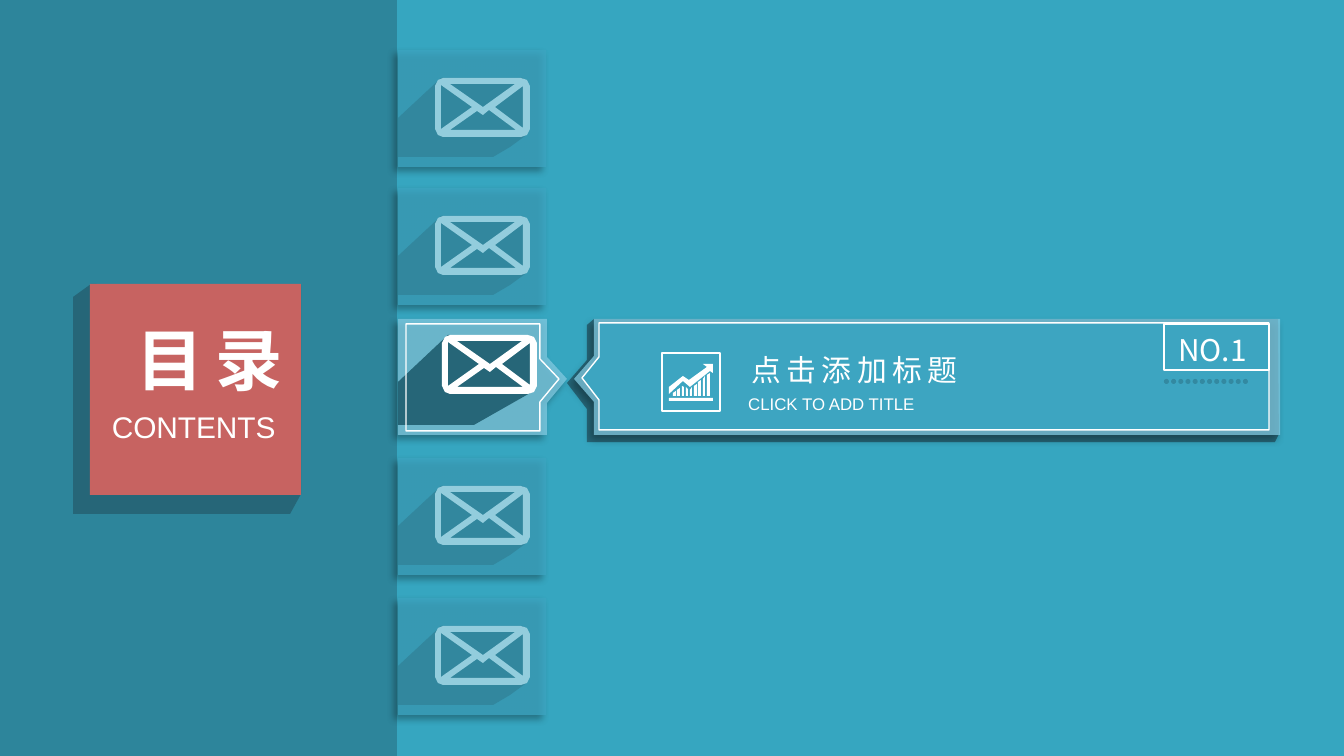
from lxml import etree
from pptx import Presentation
from pptx.dml.color import RGBColor
from pptx.enum.shapes import MSO_SHAPE
from pptx.enum.text import MSO_ANCHOR, MSO_AUTO_SIZE, PP_ALIGN
from pptx.oxml.ns import qn
from pptx.util import Emu, Pt

RECT, OVAL = MSO_SHAPE.RECTANGLE, MSO_SHAPE.OVAL
LEFT, CENTER, RIGHT = PP_ALIGN.LEFT, PP_ALIGN.CENTER, PP_ALIGN.RIGHT
TOP, NO_FIT = MSO_ANCHOR.TOP, MSO_AUTO_SIZE.NONE

PX = 914400 / 134.4
WIDTH, HEIGHT = 1344, 756
TEAL, DARK, WHITE = "36A6C0", "266678", "FFFFFF"
CARD, PALE, SHADE, ICON, RED = "3DA5C1", "80C9E0", "32879E", "93CDDD", "C76361"
HAN, LATIN = "Noto Sans CJK SC", "Arial"

# Content: text, place, size, font, alignment, letter spacing, wrap
HEADING = ("目录", (89, 312, 207, 95), 36, HAN, RIGHT, 6, True)
SUBHEADING = ("CONTENTS", (27, 402, 262, 49), 16, LATIN, RIGHT, 0, True)
BANNER_TEXTS = [
    ("点击添加标题", (731, 345, 247, 50), 16, HAN, CENTER, 3, True),
    ("CLICK TO ADD TITLE", (735, 387, 198, 34), 9, LATIN, LEFT, 0, False),
    ("NO.1", (1165, 325, 114, 50), 16, HAN, LEFT, 0, True),
]

# Inactive cards; the outlines below are relative to the corner of a card or icon
CARD_LEFT, CARD_TOPS, CARD_SIZE = 398, [50, 188, 458, 598], (148, 117)
CARD_SHADE = [(43, 28), (125, 28), (128, 37), (127, 86), (112, 97), (95, 107),
              (0, 107), (0, 68)]
ENVELOPE = [
    [(8, 0), (86, 0), (92, 2), (95, 8), (95, 51), (92, 57), (86, 59),
     (8, 59), (3, 57), (0, 51), (0, 8), (3, 2)],
    [(6, 7), (37, 29), (6, 51)],
    [(48, 37), (54, 32), (81, 52), (15, 52), (42, 33)],
    [(48, 29), (15, 6), (80, 6)],
    [(60, 29), (88, 8), (88, 50)],
]

# Active card and banner
ACTIVE_CARD = [(398, 319), (547, 319), (547, 357), (567, 379), (547, 403),
               (547, 435), (398, 435)]
ACTIVE_SHADE = [(448, 335), (529, 336), (534, 344), (532, 392), (474, 425),
                (398, 425), (398, 382)]
ACTIVE_FRAME = [(406, 324), (540, 324), (540, 359), (559, 379), (540, 402),
                (540, 431), (406, 431)]
BANNER_SHADE = [(587, 325), (594, 319), (1278, 319), (1279, 434), (1275, 442),
                (587, 442), (587, 409), (567, 383), (587, 360)]
BANNER = [(594, 319), (1280, 319), (1280, 435), (594, 435), (594, 402),
          (574, 379), (594, 356)]
BANNER_FRAME = [(599, 323), (1269, 323), (1269, 430), (599, 430), (599, 400),
                (582, 378), (599, 357)]
RED_SHADE = [(91, 284), (301, 285), (301, 494), (290, 514), (73, 514), (73, 297)]

# Growth icon: arrow, base line, and the left and right heights of the bars
ARROW = [(669, 387), (683, 376), (689, 380), (707, 367), (703, 364), (713, 364),
         (713, 373), (710, 371), (690, 387), (683, 381), (669, 394)]
BASE = [(669, 398), (713, 398), (713, 401), (669, 401)]
BAR_TOPS = [(393, 391), (390, 388), (386, 387), (387, 389), (390, 387),
            (386, 384), (382, 380), (379, 376), (375, 373)]
BAR_LEFT, BAR_STEP, BAR_WIDTH, BAR_FOOT = 673, 4.25, 2.5, 396
DOTS, DOT_LEFT, DOT_TOP, DOT_SIZE, DOT_SPAN = 12, 1164, 379, 5, 79

deck = Presentation()
deck.slide_width, deck.slide_height = Emu(round(WIDTH * PX)), Emu(round(HEIGHT * PX))
page = deck.slides.add_slide(deck.slide_layouts[5])


def emu(*lengths):
    return [Emu(round(length * PX)) for length in lengths]


def color(value):
    return RGBColor.from_string(value)


def style(shape, fill=None, alpha=100, line=None, shadow=False):
    shape.shadow.inherit = False
    if fill:
        shape.fill.solid()
        shape.fill.fore_color.rgb = color(fill)
        if alpha < 100:
            tone = shape.element.spPr.find(qn("a:solidFill"))[0]
            etree.SubElement(tone, qn("a:alpha"), val=str(alpha * 1000))
    else:
        shape.fill.background()
    if line:
        shape.line.color.rgb = color(line)
        shape.line.width = Pt(0.75)
    else:
        shape.line.fill.background()
    if shadow:
        effects = shape.element.spPr.find(qn("a:effectLst"))
        outer = etree.SubElement(effects, qn("a:outerShdw"), blurRad=str(Pt(4)),
                                 dist=str(Pt(3)), dir="8100000", rotWithShape="0")
        tone = etree.SubElement(outer, qn("a:srgbClr"), val="000000")
        etree.SubElement(tone, qn("a:alpha"), val="40000")


def block(kind, place, **look):
    style(page.shapes.add_shape(kind, *emu(*place)), **look)


def outline(contours, left=0, top=0, **look):
    moved = [[(left + x, top + y) for x, y in contour] for contour in contours]
    builder = page.shapes.build_freeform(*moved[0][0], scale=PX)
    for index, contour in enumerate(moved):
        if index:
            builder.move_to(*contour[0])
        builder.add_line_segments(contour[1:], close=True)
    style(builder.convert_to_shape(), **look)


def write(content, box=None, bold=False):
    text, place, size, font, align, spacing, wrap = content
    box = box or page.shapes.add_textbox(*emu(*place))
    box.left, box.top, box.width, box.height = emu(*place)
    frame = box.text_frame
    frame.text = text
    frame.word_wrap, frame.auto_size, frame.vertical_anchor = wrap, NO_FIT, TOP
    para = frame.paragraphs[0]
    para.alignment = align
    span = para.runs[0]
    span.font.size, span.font.name, span.font.bold = Pt(size), font, bold
    span.font.color.rgb = color(WHITE)
    properties = span.font._element
    properties.set("spc", str(spacing * 100))
    etree.SubElement(properties, qn("a:ea"), typeface=font)


# Background and side panel
block(RECT, (0, 0, WIDTH, HEIGHT), fill=TEAL)
block(RECT, (0, 0, 397, HEIGHT), fill=DARK, alpha=51)

# Inactive cards
for top in CARD_TOPS:
    block(RECT, (CARD_LEFT, top, *CARD_SIZE), fill=CARD, alpha=77, shadow=True)
    outline([CARD_SHADE], CARD_LEFT, top, fill=SHADE)
    outline(ENVELOPE, CARD_LEFT + 37, top + 28, fill=ICON)

# Active card
outline([ACTIVE_CARD], fill=PALE, alpha=77, shadow=True)
outline([ACTIVE_SHADE], fill=DARK)
outline(ENVELOPE, 442, 335, fill=WHITE)
outline([ACTIVE_FRAME], line=WHITE)

# Banner with its texts
outline([BANNER_SHADE], fill=DARK)
outline([BANNER], fill=PALE, alpha=77, shadow=True)
outline([BANNER_FRAME], fill=CARD, line=WHITE)
for content in BANNER_TEXTS:
    write(content)
block(RECT, (1164, 324, 105, 46), line=WHITE)

# Growth icon in its box
bars = []
for index, (left_top, right_top) in enumerate(BAR_TOPS):
    x = BAR_LEFT + index * BAR_STEP
    bars.append([(x, left_top), (x + BAR_WIDTH, right_top),
                 (x + BAR_WIDTH, BAR_FOOT), (x, BAR_FOOT)])
outline([ARROW, BASE, *bars], fill=WHITE)
block(RECT, (662, 353, 58, 58), line=WHITE)

# Row of dots
for index in range(DOTS):
    x = DOT_LEFT + index * DOT_SPAN / (DOTS - 1)
    block(OVAL, (x, DOT_TOP, DOT_SIZE, DOT_SIZE), fill=DARK, alpha=43)

# Heading block
outline([RED_SHADE], fill=DARK)
block(RECT, (90, 284, 211, 211), fill=RED)
title = page.shapes.title
title.element.getparent().append(title.element)
write(HEADING, title, bold=True)
write(SUBHEADING)

deck.save("out.pptx")
